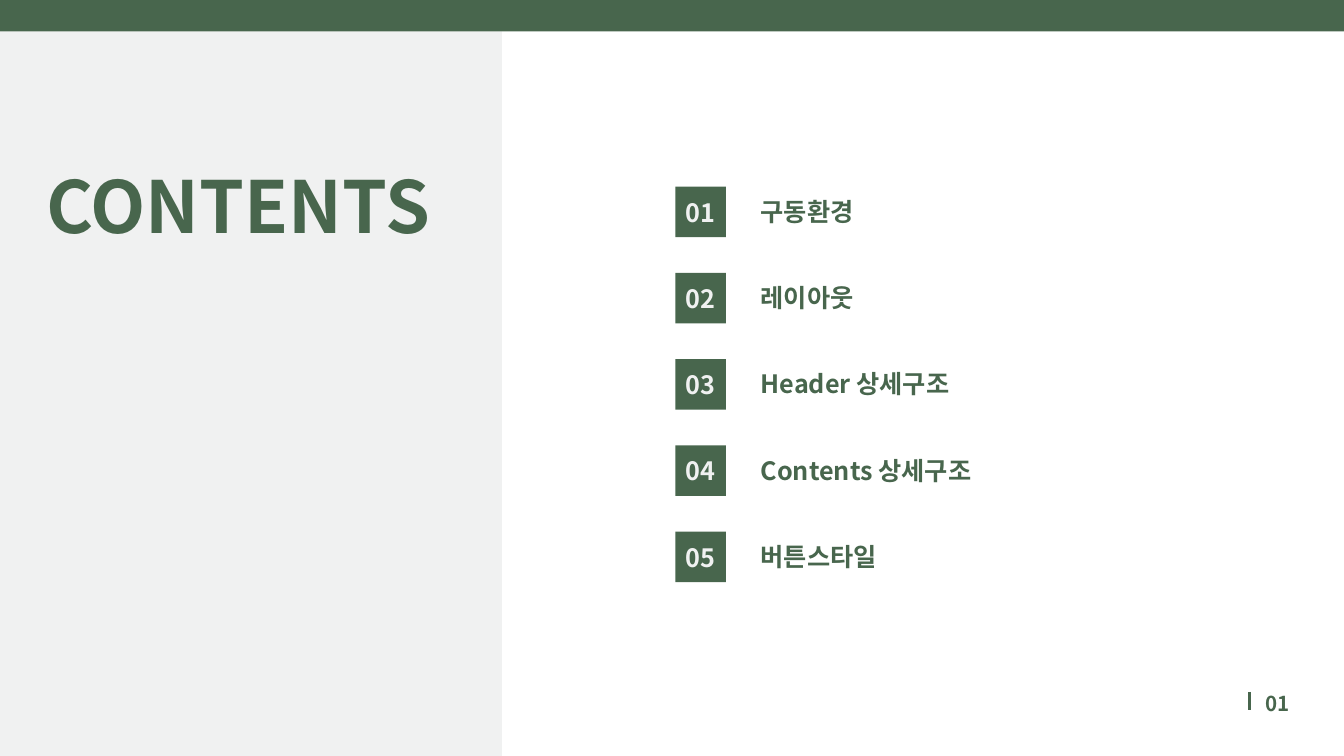
import pptx
import pptx.dml.color
import pptx.enum.shapes
import pptx.enum.text
import pptx.oxml
import pptx.oxml.ns
import pptx.util
from lxml import etree

Cm, Pt = pptx.util.Cm, pptx.util.Pt
ALIGN = pptx.enum.text.PP_ALIGN
ANCHOR = pptx.enum.text.MSO_ANCHOR
FONT = "Noto Sans CJK KR"
COLORS = {"green": "48664D", "pale": "F0F1F1", "white": "FFFFFF"}
ITEMS = ["구동환경", "레이아웃", "Header 상세구조", "Contents 상세구조", "버튼스타일"]

SLIDE_W, SLIDE_H = 50.8, 28.58
BAR_H = 1.19
PITCH = 3.26
BADGE = 1.91
ITEM_LINE = 32.4


def rgb(name):
    return pptx.dml.color.RGBColor.from_string(COLORS[name])


def place(sp, x, y, w, h):
    sp.left, sp.top, sp.width, sp.height = Cm(x), Cm(y), Cm(w), Cm(h)


def prepare_frame(sp, anchor=ANCHOR.TOP, insets=(0, 0, 0, 0)):
    tf = sp.text_frame
    tf.word_wrap = True
    tf.auto_size = pptx.enum.text.MSO_AUTO_SIZE.NONE
    tf.vertical_anchor = anchor
    tf.margin_left, tf.margin_top, tf.margin_right, tf.margin_bottom = map(Cm, insets)
    return tf


def write(p, text, size, color, line, align=ALIGN.LEFT, before=0):
    """Add one bold run to a paragraph with exact line spacing in points."""
    p.alignment = align
    p.line_spacing = Pt(line)
    p.space_before, p.space_after = Pt(before), Pt(0)
    r = p.add_run()
    r.text = text
    r.font.size, r.font.bold, r.font.name = Pt(size), True, FONT
    r.font.color.rgb = rgb(color)
    ea = etree.SubElement(r.font._element, pptx.oxml.ns.qn("a:ea"))
    ea.set("typeface", FONT)


def add_block(s, x, y, w, h, color):
    sp = s.shapes.add_shape(pptx.enum.shapes.MSO_SHAPE.RECTANGLE, Cm(x), Cm(y), Cm(w), Cm(h))
    sp.shadow.inherit = False
    sp.fill.solid()
    sp.fill.fore_color.rgb = rgb(color)
    sp.line.fill.background()
    return sp


def add_title_panel(s, x, y, w, h):
    add_block(s, x, y, w, h, "pale")
    title = s.shapes.title
    s.shapes.element.append(title.element)  # bring in front of the panel
    place(title, x + 1.47, y + 4.37, 15.06, 3.66)
    tf = prepare_frame(title)
    write(tf.paragraphs[0], "CONTENTS", 77, "green", 107.8, ALIGN.CENTER)


def add_contents(s, x, y, w):
    """Numbered badges at the left, the list of sections beside them."""
    for i in range(len(ITEMS)):
        badge = add_block(s, x, y + i * PITCH, BADGE, BADGE, "green")
        tf = prepare_frame(badge, ANCHOR.MIDDLE, (0.15, 0.15, 0.15, 0.33))
        write(tf.paragraphs[0], f"{i + 1:02}", 27, "pale", 37.8, ALIGN.CENTER)

    body = s.placeholders[1]
    place(body, x + 3.22, y + 0.36, w - 3.22, (len(ITEMS) - 1) * PITCH + 1.17)
    tf = prepare_frame(body)
    gap = Cm(PITCH).pt - ITEM_LINE
    for i, item in enumerate(ITEMS):
        p = tf.add_paragraph() if i else tf.paragraphs[0]
        pPr = p._p.get_or_add_pPr()
        pPr.set("marL", "0")
        pPr.set("indent", "0")
        etree.SubElement(pPr, pptx.oxml.ns.qn("a:buNone"))
        write(p, item, 27, "green", ITEM_LINE, before=gap if i else 0)


def add_page_number(s, x, y, w, h):
    mark = s.shapes.add_connector(pptx.enum.shapes.MSO_CONNECTOR.STRAIGHT,
                                  Cm(x), Cm(y + 0.2), Cm(x), Cm(y + 0.89))
    mark.line.color.rgb = rgb("green")
    mark.line.width = Pt(3.75)
    etree.SubElement(mark._element.spPr, pptx.oxml.ns.qn("a:effectLst"))
    box = s.shapes.add_textbox(Cm(x + 0.3), Cm(y), Cm(w - 0.3), Cm(h))
    tf = prepare_frame(box)
    write(tf.paragraphs[0], "01", 22, "green", 30.8, ALIGN.RIGHT)


def main():
    prs = pptx.Presentation()
    prs.slide_width, prs.slide_height = Cm(SLIDE_W), Cm(SLIDE_H)
    s = prs.slides.add_slide(prs.slide_layouts[1])
    s.background.fill.solid()
    s.background.fill.fore_color.rgb = rgb("white")

    add_title_panel(s, 0, BAR_H, 18.97, SLIDE_H - BAR_H)
    add_block(s, 0, 0, SLIDE_W, BAR_H, "green")
    add_contents(s, 25.53, 7.06, 15.34)
    add_page_number(s, 47.22, 25.96, 1.52, 1.07)
    prs.save("out.pptx")


if __name__ == "__main__":
    main()
